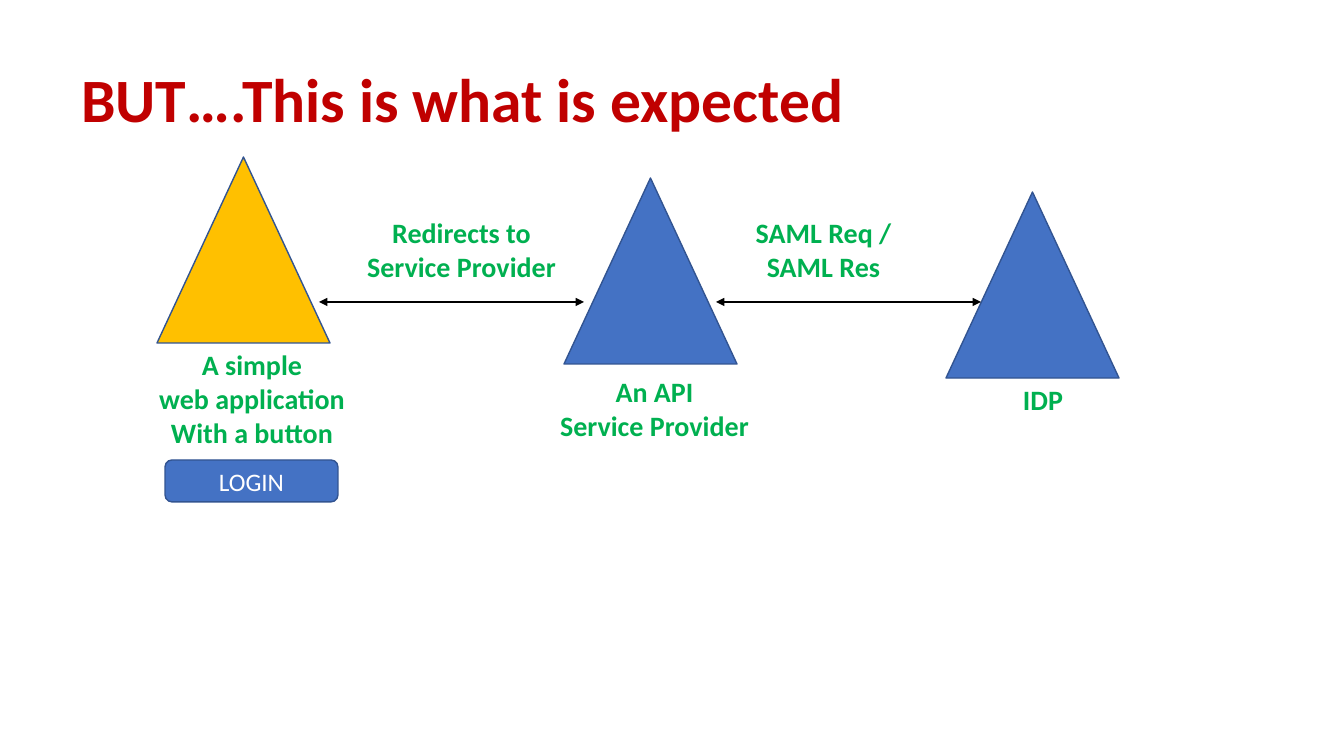
from dataclasses import dataclass

from lxml import etree
from pptx import Presentation
from pptx.dml.color import RGBColor
from pptx.enum.shapes import MSO_CONNECTOR, MSO_SHAPE
from pptx.enum.text import MSO_ANCHOR, PP_ALIGN
from pptx.oxml.ns import qn
from pptx.shapes.autoshape import Shape
from pptx.text.text import TextFrame
from pptx.util import Emu, Pt

EMU_PER_PIXEL = 914400 / 100.8
FONT = "Calibri"
RED, GREEN, BLUE, GOLD = "C00000", "00B050", "4472C4", "FFC000"
OUTLINE, BLACK, WHITE = "325491", "000000", "FFFFFF"
TRIANGLE_WIDTH, TRIANGLE_HEIGHT = 173, 186
ARROW_Y, ARROW_LENGTH = 302, 265


@dataclass(frozen=True)
class Party:
    left: int
    top: int
    fill: str


@dataclass(frozen=True)
class Label:
    left: int
    top: int
    width: int
    lines: tuple[str, ...]


PARTIES = (
    Party(157, 157, GOLD),
    Party(564, 178, BLUE),
    Party(946, 192, BLUE),
)
LABELS = (
    Label(148, 343, 208, ("A simple", "web application", "With a button")),
    Label(356, 211, 211, ("Redirects to", "Service Provider")),
    Label(745, 211, 157, ("SAML Req /", "SAML Res")),
    Label(1013, 378, 60, ("IDP",)),
    Label(549, 370, 211, ("An API", "Service Provider")),
)
ARROW_STARTS = (319, 716)


def px(pixels: int) -> Emu:
    return Emu(round(pixels * EMU_PER_PIXEL))


def rgb(value: str) -> RGBColor:
    return RGBColor.from_string(value)


def write(frame: TextFrame, lines: tuple[str, ...], size: int, color: str,
          bold: bool, align: PP_ALIGN) -> None:
    frame.text = "\n".join(lines)
    for paragraph in frame.paragraphs:
        paragraph.alignment = align
        font = paragraph.runs[0].font
        font.name, font.size, font.bold = FONT, Pt(size), bold
        font.color.rgb = rgb(color)


def add_block(kind: MSO_SHAPE, left: int, top: int, width: int, height: int, fill: str) -> Shape:
    block = slide.shapes.add_shape(kind, px(left), px(top), px(width), px(height))
    block.shadow.inherit = False
    block.fill.solid()
    block.fill.fore_color.rgb = rgb(fill)
    block.line.color.rgb = rgb(OUTLINE)
    block.line.width = Pt(1)
    return block


def add_label(label: Label) -> None:
    height = 10 + 34 * len(label.lines)
    box = slide.shapes.add_textbox(px(label.left), px(label.top), px(label.width), px(height))
    box.text_frame.word_wrap = False
    write(box.text_frame, label.lines, 20, GREEN, True, PP_ALIGN.CENTER)


def add_double_arrow(start: int) -> None:
    arrow = slide.shapes.add_connector(
        MSO_CONNECTOR.STRAIGHT, px(start), px(ARROW_Y), px(start + ARROW_LENGTH), px(ARROW_Y))
    arrow.line.color.rgb = rgb(BLACK)
    arrow.line.width = Pt(1.5)
    outline = arrow.line._get_or_add_ln()
    for end in ("a:headEnd", "a:tailEnd"):
        etree.SubElement(outline, qn(end), type="triangle")
    etree.SubElement(arrow._element.spPr, qn("a:effectLst"))


presentation = Presentation()
presentation.slide_width, presentation.slide_height = px(1344), px(756)
slide = presentation.slides.add_slide(presentation.slide_layouts[5])

title = slide.shapes.title
title.left, title.top, title.width, title.height = px(71), px(56), px(790), px(85)
title.text_frame.word_wrap = False
title.text_frame.vertical_anchor = MSO_ANCHOR.TOP
write(title.text_frame, ("BUT….This is what is expected",), 44, RED, True, PP_ALIGN.LEFT)

for party in PARTIES:
    add_block(MSO_SHAPE.ISOSCELES_TRIANGLE, party.left, party.top,
              TRIANGLE_WIDTH, TRIANGLE_HEIGHT, party.fill)
for label in LABELS:
    add_label(label)
for start in ARROW_STARTS:
    add_double_arrow(start)

login = add_block(MSO_SHAPE.ROUNDED_RECTANGLE, 165, 460, 173, 42, BLUE)
login.text_frame.vertical_anchor = MSO_ANCHOR.MIDDLE
write(login.text_frame, ("LOGIN",), 18, WHITE, False, PP_ALIGN.CENTER)

presentation.save("out.pptx")
